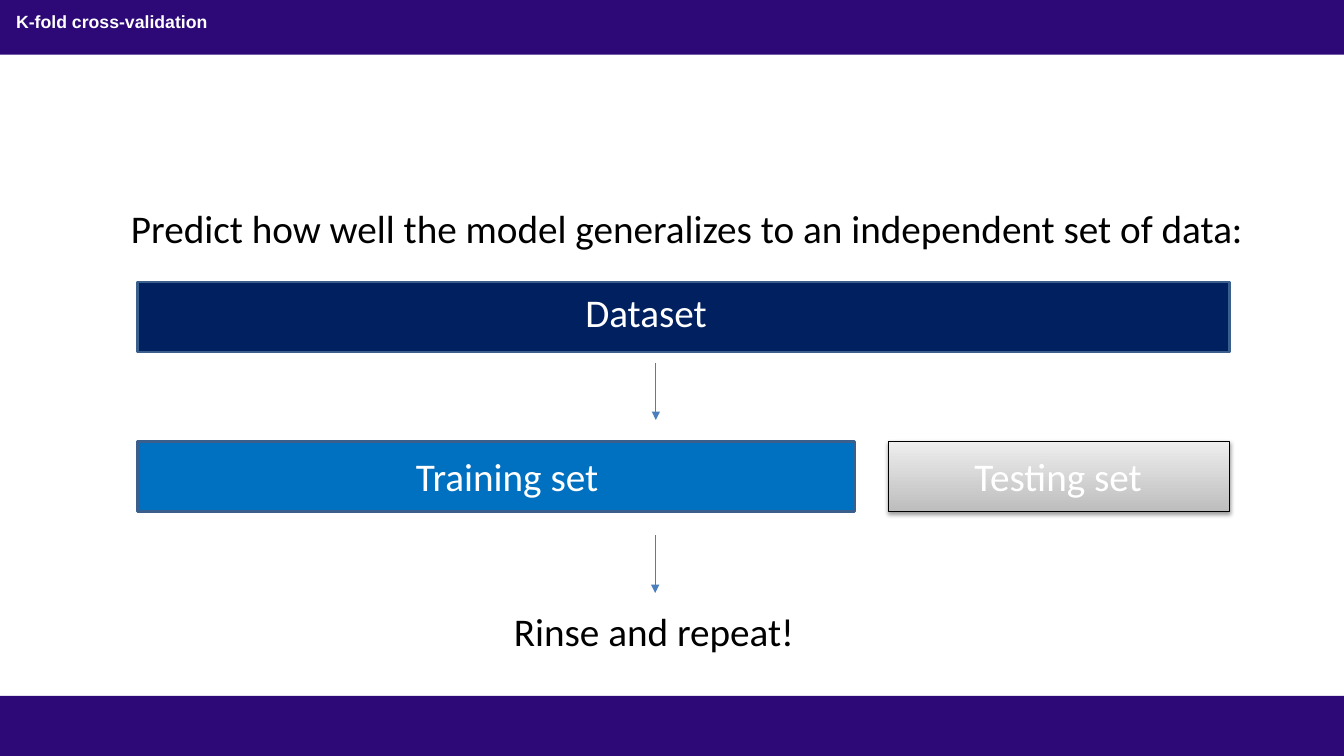
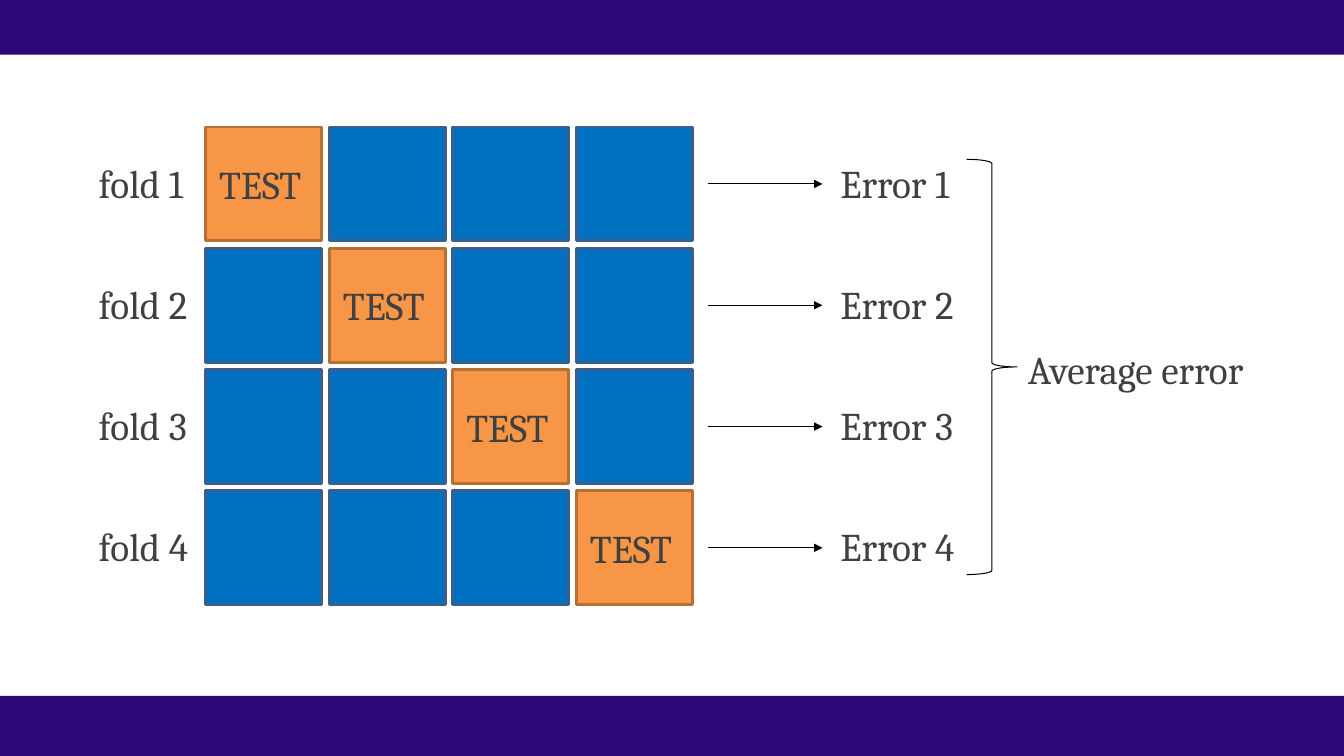
from dataclasses import dataclass
from lxml.etree import SubElement as Sub
from pptx import Presentation
from pptx.dml.color import RGBColor as Rgb
from pptx.enum.shapes import MSO_CONNECTOR as Conn, MSO_SHAPE as Kind
from pptx.enum.text import MSO_ANCHOR as Anchor, MSO_AUTO_SIZE as Auto, PP_ALIGN as Align
from pptx.oxml.ns import qn
from pptx.util import Pt


@dataclass(frozen=True)
class Theme:
    band: str = "2C0977"
    white: str = "FFFFFF"
    black: str = "000000"
    text: str = "404040"
    navy: str = "002060"
    blue: str = "0070C0"
    edge: str = "3A5F8C"
    arrow: str = "4B7EBC"
    test: str = "F79646"
    rim: str = "B76F34"
    dark: str = "BDBDBD"
    light: str = "EEEEEE"
    head: float = 12.6
    body: float = 28
    thin: float = 0.75
    thick: float = 2
    title: str = "Arial"
    sans: str = "Calibri"
    serif: str = "Cambria"


T = Theme()
WIDE, HIGH = 960, 540
BANDS = [(0, 0, WIDE, 39), (0, 497, WIDE, 43)]

TITLE = ("K-fold cross-validation", (11.5, 8, 937.5, 20))
BARS = [
    ((98, 201.5, 780.5, 50), T.navy),
    ((98, 315.5, 512.5, 50), T.blue),
]
GREY = (634.5, 315.5, 244, 50)
WORDS = [
    ("Predict how well the model generalizes to an independent set of data:",
     (86.5, 142.5, 822, 41), T.black),
    ("Dataset", (411, 202.5, 252, 41), T.white),
    ("Training set", (290, 319.5, 190, 41), T.white),
    ("Testing set", (689, 319.5, 190, 41), T.white),
    ("Rinse and repeat!", (360, 430, 222, 41), T.black),
]
DROPS = [(468.5, 259, 300), (468, 382.5, 423.5)]

COUNT = 4
GRID = (146.9, 90.7)
STEP = (88.3, 86.65)
CELL = (82.8, 81.4)
ARROW = (505.5, 587.5)
LABELS = [("fold", 63.4, 84), ("Error", 593.3, 100)]
DROP = 23
BRACE = (690.5, 113.8, 36, 296.6)
MEAN = ("Average error", (727.2, 247, 196, 58))


def pts(*nums):
    return [Pt(n) for n in nums]


def put(shape, text, font=T.sans, size=T.body, ink=T.text, bold=False,
        align=Align.LEFT, anchor=Anchor.TOP, pad=(7.2, 3.6, 7.2, 3.6), space=1.0):
    frame = shape.text_frame
    frame.word_wrap = True
    frame.auto_size = Auto.NONE
    frame.vertical_anchor = anchor
    (frame.margin_left, frame.margin_top,
     frame.margin_right, frame.margin_bottom) = pts(*pad)
    para = frame.paragraphs[0]
    para.alignment = align
    para.line_spacing = space
    run = para.add_run()
    run.text = text
    run.font.name, run.font.size, run.font.bold = font, Pt(size), bold
    run.font.color.rgb = Rgb.from_string(ink)


def note(slide, text, box, **form):
    put(slide.shapes.add_textbox(*pts(*box)), text, **form)


def stroke(shape, ink, width):
    shape.line.color.rgb = Rgb.from_string(ink)
    shape.line.width = Pt(width)


def draw(slide, box, fill=None, edge=None, width=T.thick, kind=Kind.RECTANGLE):
    shape = slide.shapes.add_shape(kind, *pts(*box))
    shape.shadow.inherit = False
    if fill:
        shape.fill.solid()
        shape.fill.fore_color.rgb = Rgb.from_string(fill)
    else:
        shape.fill.background()
    if edge:
        stroke(shape, edge, width)
    else:
        shape.line.fill.background()
    return shape


def arrow(slide, ends, ink):
    link = slide.shapes.add_connector(Conn.STRAIGHT, *pts(*ends))
    stroke(link, ink, T.thin)
    props = link.element.spPr
    Sub(props.find(qn("a:ln")), qn("a:tailEnd"), type="triangle")
    Sub(props, qn("a:effectLst"))


def shade(shape):
    shape.fill.gradient()
    shape.fill.gradient_angle = 90
    for stop, ink in zip(shape.fill.gradient_stops, (T.dark, T.light)):
        stop.color.rgb = Rgb.from_string(ink)
    glow = Sub(shape.element.spPr.find(qn("a:effectLst")), qn("a:outerShdw"),
               blurRad=str(Pt(3.1)), dist=str(Pt(1.6)), dir="5400000", rotWithShape="0")
    ink = Sub(glow, qn("a:srgbClr"), val=T.black)
    Sub(ink, qn("a:alpha"), val="38000")


def bands(deck, slide):
    tree = deck.slide_master.shapes.element
    for spot, box in enumerate(BANDS, 2):
        tree.insert(spot, draw(slide, box, T.band).element)


def split(slide):
    text, box = TITLE
    head = slide.shapes.title
    head.left, head.top, head.width, head.height = pts(*box)
    put(head, text, font=T.title, size=T.head, ink=T.white, bold=True, pad=(0, 0, 0, 0))
    for box, fill in BARS:
        draw(slide, box, fill, T.edge)
    shade(draw(slide, GREY, T.light, T.black, T.thin))
    for text, box, ink in WORDS:
        note(slide, text, box, ink=ink)
    for x, top, end in DROPS:
        arrow(slide, (x, top, x, end), T.arrow)


def folds(slide):
    form = dict(font=T.serif, pad=(7.2, 3.6, 0, 3.6), space=0.9)
    for row in range(COUNT):
        y = GRID[1] + row * STEP[1]
        for col in range(COUNT):
            test = row == col
            box = (GRID[0] + col * STEP[0], y, *CELL)
            cell = draw(slide, box, T.test if test else T.blue, T.rim if test else T.edge)
            if test:
                put(cell, "TEST", font=T.serif, align=Align.CENTER,
                    anchor=Anchor.MIDDLE, pad=(0, 0, 5, 0))
        mid = y + CELL[1] / 2
        arrow(slide, (ARROW[0], mid, ARROW[1], mid), T.black)
        for word, x, width in LABELS:
            note(slide, f"{word} {row + 1}", (x, y + DROP, width, 51), **form)
    draw(slide, BRACE, edge=T.black, width=T.thin, kind=Kind.RIGHT_BRACE)
    note(slide, *MEAN, **form)


def main():
    deck = Presentation()
    deck.slide_width, deck.slide_height = pts(WIDE, HIGH)
    first = deck.slides.add_slide(deck.slide_layouts[5])
    bands(deck, first)
    split(first)
    folds(deck.slides.add_slide(deck.slide_layouts[6]))
    deck.save("out.pptx")


if __name__ == "__main__":
    main()
